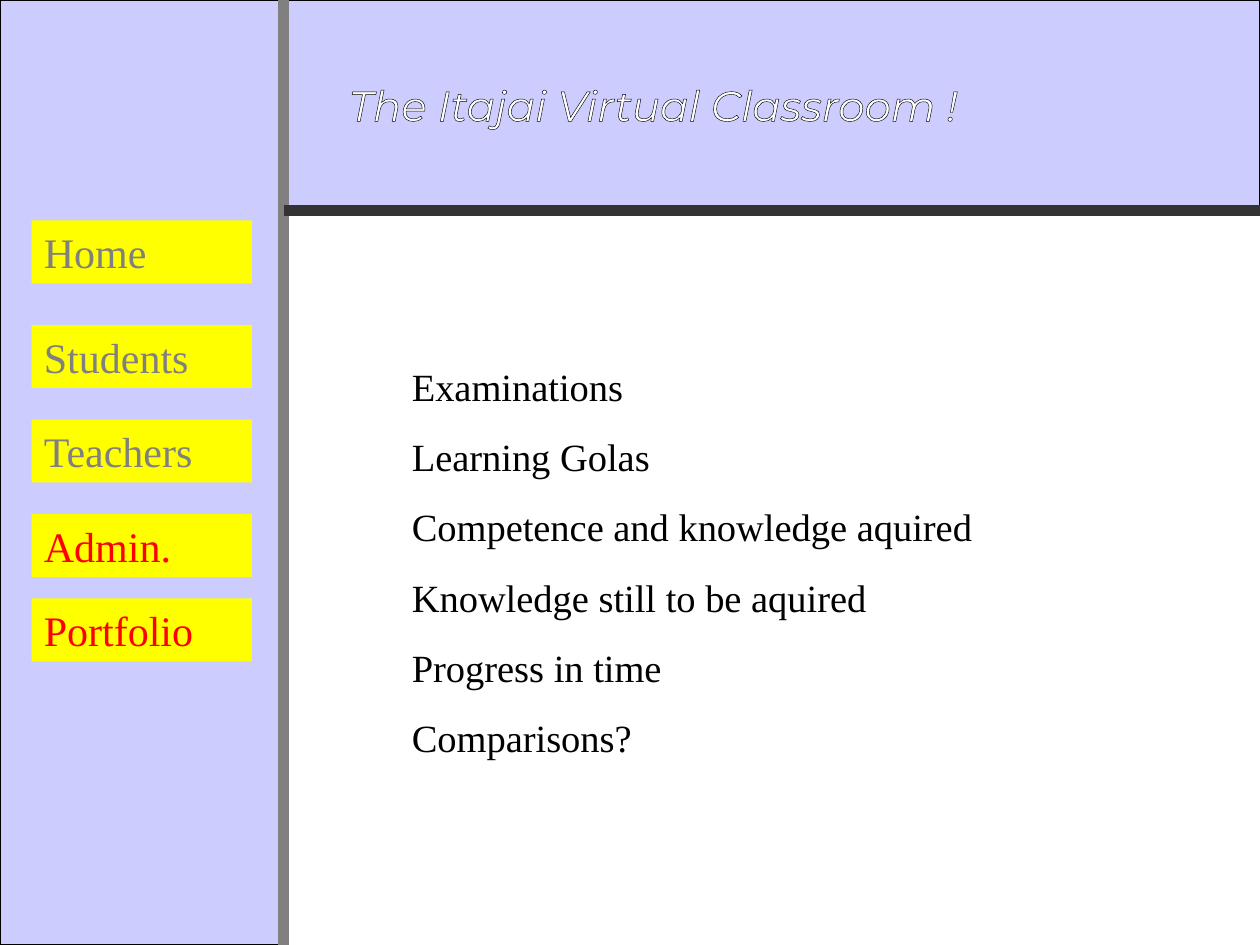
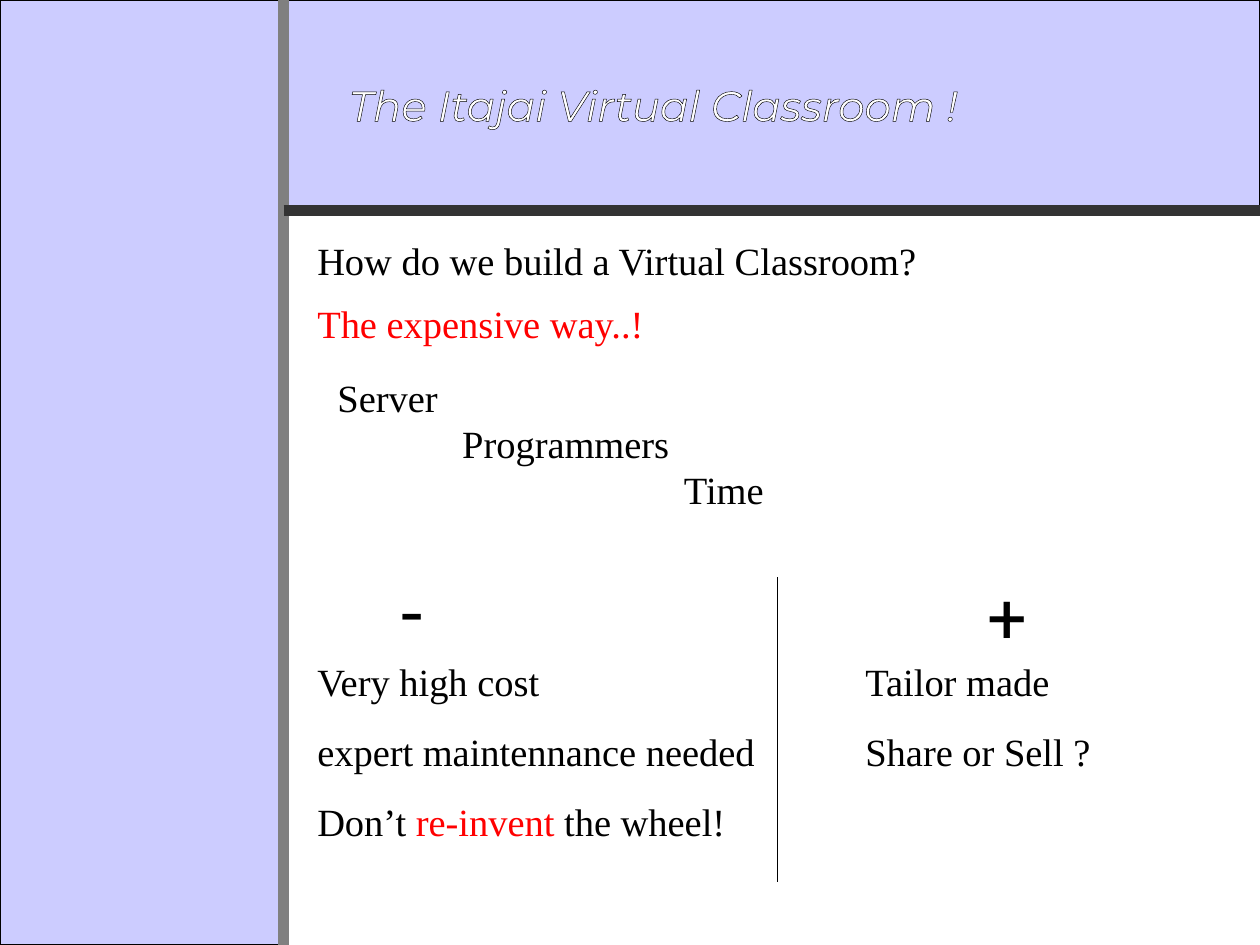
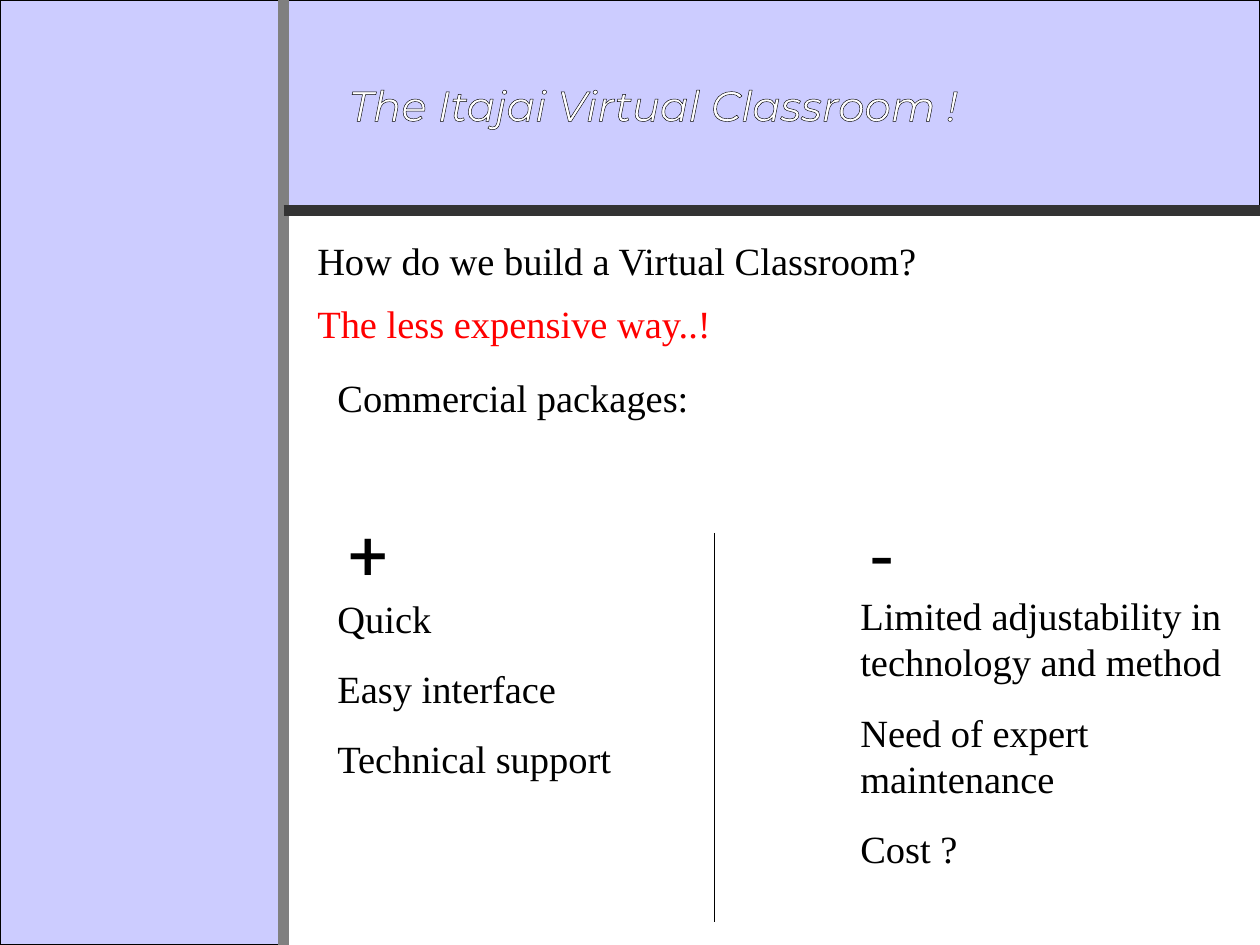
import pptx
import pptx.util
import pptx.dml.color
import pptx.enum.shapes
import pptx.enum.text
import pptx.oxml
from pptx.util import Inches

COLORS = {
    "lavender": "CCCCFF",
    "yellow": "FFFF00",
    "gray": "808080",
    "dark": "333333",
    "red": "FF0000",
    "black": "000000",
    "white": "FFFFFF",
}
BODY, TITLE, SIGN = "Times New Roman", "Montserrat", "Roboto"
SIDEBAR, HEADER = 2.25, 1.67
SIGN_SIZES = {"+": 40, "-": 44}
DRAWING_NS = 'xmlns:a="http://schemas.openxmlformats.org/drawingml/2006/main"'


def rgb(name):
    return pptx.dml.color.RGBColor.from_string(COLORS[name])


class Deck:
    def __init__(self):
        self.prs = pptx.Presentation()
        self.prs.slide_width, self.prs.slide_height = Inches(10), Inches(7.5)
        self.s = None

    def slide(self):
        self.s = self.prs.slides.add_slide(self.prs.slide_layouts[6])
        self.rect(0, 0, SIDEBAR, 7.5, "lavender", "black")
        self.rect(SIDEBAR, 0, 10 - SIDEBAR, HEADER, "lavender", "black")
        self.line(SIDEBAR, 7.5, SIDEBAR, 0, "gray", 6)
        self.line(SIDEBAR, HEADER, 10, HEADER, "dark", 6)
        self.title("The Itajai Virtual Classroom !")

    def rect(self, x, y, w, h, fill, line=None):
        sp = self.s.shapes.add_shape(pptx.enum.shapes.MSO_SHAPE.RECTANGLE,
                                     Inches(x), Inches(y), Inches(w), Inches(h))
        sp.shadow.inherit = False
        sp.fill.solid()
        sp.fill.fore_color.rgb = rgb(fill)
        if line:
            sp.line.color.rgb = rgb(line)
            sp.line.width = pptx.util.Pt(0.75)
        else:
            sp.line.fill.background()
        return sp

    def line(self, x1, y1, x2, y2, color="black", width=0.75):
        cn = self.s.shapes.add_connector(pptx.enum.shapes.MSO_CONNECTOR.STRAIGHT,
                                         Inches(x1), Inches(y1), Inches(x2), Inches(y2))
        cn.line.color.rgb = rgb(color)
        cn.line.width = pptx.util.Pt(width)
        cn._element.spPr.append(pptx.oxml.parse_xml(f"<a:effectLst {DRAWING_NS}/>"))

    def add_run(self, p, text, size, color, font):
        r = p.add_run()
        r.text = text
        r.font.size = pptx.util.Pt(size)
        r.font.name = font
        r.font.color.rgb = rgb(color)

    def fill_text(self, sp, paragraphs, size, color, font, gap=0, indents=()):
        tf = sp.text_frame
        tf.word_wrap = True
        tf.auto_size = pptx.enum.text.MSO_AUTO_SIZE.SHAPE_TO_FIT_TEXT
        for i, runs in enumerate(paragraphs):
            p = tf.add_paragraph() if i else tf.paragraphs[0]
            p.alignment = pptx.enum.text.PP_ALIGN.LEFT
            if i:
                p.space_before = pptx.util.Pt(gap)
            if indents:
                p._p.get_or_add_pPr().set("marL", str(Inches(indents[i])))
            for text, run_color in [(runs, color)] if isinstance(runs, str) else runs:
                self.add_run(p, text, size, run_color, font)
        return tf

    def box(self, x, y, w, h):
        return self.s.shapes.add_textbox(Inches(x), Inches(y), Inches(w), Inches(h))

    def text(self, x, y, w, h, *paragraphs, color="black", gap=13.8, indents=()):
        self.fill_text(self.box(x, y, w, h), paragraphs, 22, color, BODY, gap, indents)

    def sign(self, x, y, w, h, symbol):
        self.fill_text(self.box(x, y, w, h), [symbol], SIGN_SIZES[symbol], "black", SIGN)

    def button(self, y, label, color):
        sp = self.rect(0.25, y, 1.75, 0.5, "yellow")
        self.fill_text(sp, [label], 24, color, BODY)

    def title(self, text):
        tf = self.fill_text(self.box(2.67, 0.58, 6.95, 0.75), [text], 24, "white", TITLE)
        tf.word_wrap = False
        tf.auto_size = pptx.enum.text.MSO_AUTO_SIZE.NONE
        r = tf.paragraphs[0].runs[0]
        r.font.italic = True
        r._r.get_or_add_rPr().insert(0, pptx.oxml.parse_xml(
            f'<a:ln {DRAWING_NS} w="{pptx.util.Pt(0.75)}"><a:solidFill>'
            f'<a:srgbClr val="{COLORS["black"]}"/></a:solidFill></a:ln>'))

    def question(self, answer):
        self.text(2.42, 1.83, 6.67, 0.47, "How do we build a Virtual Classroom?")
        self.text(2.42, 2.33, 5.42, 0.47, answer, color="red")


def main():
    d = Deck()

    d.slide()
    for y, label, color in [(1.75, "Home", "gray"), (2.58, "Students", "gray"),
                            (3.33, "Teachers", "gray"), (4.08, "Admin.", "red"),
                            (4.75, "Portfolio", "red")]:
        d.button(y, label, color)
    d.text(3.17, 2.83, 6.08, 4.37, "Examinations", "Learning Golas",
           "Competence and knowledge aquired", "Knowledge still to be aquired",
           "Progress in time", "Comparisons?")

    d.slide()
    d.question("The expensive way..!")
    d.text(2.58, 2.92, 5.58, 1.2, "Server", "Programmers", "Time",
           gap=0, indents=(0, 0.99, 2.75))
    d.text(2.42, 5.17, 3.83, 1.58, "Very high cost", "expert maintennance needed",
           [("Don’t ", "black"), ("re-invent", "red"), (" the wheel!", "black")])
    d.sign(3.09, 4.42, 1.69, 0.84, "-")
    d.text(6.77, 5.17, 3.23, 1.03, "Tailor made", "Share or Sell ?")
    d.sign(7.74, 4.5, 1.43, 0.77, "+")
    d.line(6.17, 4.58, 6.17, 7)

    d.slide()
    d.question("The less expensive way..!")
    d.text(2.58, 2.92, 5.58, 0.47, "Commercial packages:")
    d.text(2.58, 4.67, 2.83, 1.58, "Quick", "Easy interface", "Technical support")
    d.sign(2.67, 4, 1.58, 0.77, "+")
    d.text(6.73, 4.65, 3.27, 2.32, "Limited adjustability in technology and method",
           "Need of expert maintenance", "Cost ?")
    d.sign(6.82, 3.98, 1.44, 0.84, "-")
    d.line(5.67, 4.23, 5.67, 7.32)

    d.prs.save("out.pptx")


if __name__ == "__main__":
    main()
